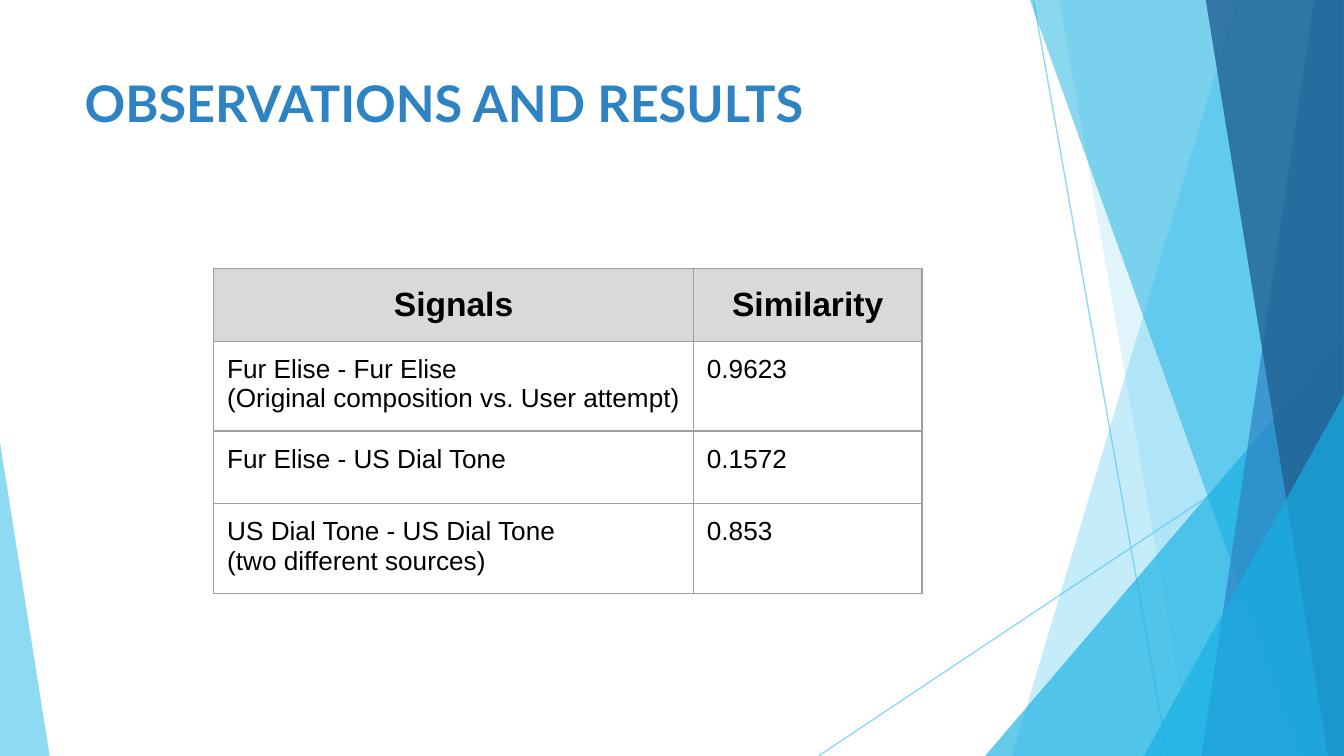
from pptx import Presentation, util as u
from pptx.dml.color import RGBColor
from pptx.enum import shapes, text
from pptx.oxml.ns import qn
from lxml import etree

W = 10
H = W * 9 / 16
SKY, CYAN, BLUE, NAVY = "5FCBEF", "16B0E3", "2E83C3", "226292"
TITLE = "OBSERVATIONS AND RESULTS"
ROWS = [
    ("Signals", "Similarity"),
    ("Fur Elise - Fur Elise\n(Original composition vs. User attempt)", "0.9623"),
    ("Fur Elise - US Dial Tone", "0.1572"),
    ("US Dial Tone - US Dial Tone\n(two different sources)", "0.853"),
]
COLS = (3.57, 1.7)
HIGH = 0.54

# Thin rays: start, end
RAYS = [((7.69, 0), (8.69, H)), ((W, 3.02), (6.09, H))]

# Facets from back to front: kind, geometry, colour, opacity in percent.
# band: top left, top right, bottom right, bottom left (x only)
# peak: left, top, width, place of the apex
FACETS = [
    ("band", (9.21, W, W, 7.53), SKY, 36),
    ("band", (7.88, W, W, 8.87), SKY, 20),
    ("peak", (7.33, 2.5, 2.67, 1), CYAN, 66),
    ("band", (7.66, 9.99, 9.99, 9.68), CYAN, 50),
    ("band", (9.78, W, W, 8.94), BLUE, 70),
    ("band", (8.97, W, W, 9.88), NAVY, 80),
    ("peak", (8.51, 2.94, 1.49, 1), CYAN, 66),
    ("peak", (0, 3.29, 0.37, 0), SKY, 70),
]


def rgb(code):
    return RGBColor.from_string(code)


def fade(shape, share):
    """Set the opacity of the shape's first colour, in percent."""
    tone = next(shape._element.spPr.iter(qn("a:srgbClr")))
    etree.SubElement(tone, qn("a:alpha")).set("val", str(share * 1000))


def ray(slide, start, end):
    line = slide.shapes.add_connector(
        shapes.MSO_CONNECTOR.STRAIGHT, *map(u.Inches, start + end))
    line.line.color.rgb = rgb(SKY)
    line.line.width = u.Pt(0.75)
    fade(line, 70)
    etree.SubElement(line._element.spPr, qn("a:effectLst"))


def band(slide, place):
    a, b, c, d = map(u.Inches, place)
    head, foot = u.Inches(-0.01), u.Inches(H)
    form = slide.shapes.build_freeform(a, head)
    form.add_line_segments([(b, head), (c, foot), (d, foot)], close=True)
    return form.convert_to_shape()


def peak(slide, place):
    left, top, width, apex = place
    shape = slide.shapes.add_shape(
        shapes.MSO_SHAPE.ISOSCELES_TRIANGLE,
        *map(u.Inches, (left, top, width, H - top)))
    shape.adjustments[0] = apex
    return shape


def facet(slide, kind, place, color, share):
    shape = (band if kind == "band" else peak)(slide, place)
    shape.shadow.inherit = False
    shape.fill.solid()
    shape.fill.fore_color.rgb = rgb(color)
    shape.line.fill.background()
    fade(shape, share)


def style(frame, font, size, color, bold):
    for para in frame.paragraphs:
        for run in para.runs:
            run.font.name, run.font.size = font, u.Pt(size)
            run.font.bold = bold
            run.font.color.rgb = rgb(color)


def title(slide):
    box = slide.shapes.add_textbox(*map(u.Inches, (0.56, 0.5, 7.05, 0.54)))
    frame = box.text_frame
    frame.word_wrap = True
    frame.margin_left = frame.margin_right = u.Inches(0.07)
    frame.margin_top = frame.margin_bottom = u.Inches(0.04)
    frame.text = TITLE
    style(frame, "Lato", 27, BLUE, True)


def border(cell):
    props = cell._tc.get_or_add_tcPr()
    for i, side in enumerate(("lnL", "lnR", "lnT", "lnB")):
        line = etree.Element(qn("a:" + side), w=str(u.Pt(0.75)))
        fill = etree.SubElement(line, qn("a:solidFill"))
        etree.SubElement(fill, qn("a:srgbClr"), val="9E9E9E")
        props.insert(i, line)


def fill_cell(cell, words, head):
    cell.text = words
    cell.margin_left = cell.margin_top = cell.margin_bottom = u.Inches(0.1)
    # A little slack keeps the longest line whole
    cell.margin_right = u.Inches(0.1 if head else 0.08)
    style(cell.text_frame, "Arial", 18 if head else 14, "000000", head)
    if head:
        cell.fill.solid()
        cell.fill.fore_color.rgb = rgb("D9D9D9")
        cell.vertical_anchor = text.MSO_ANCHOR.MIDDLE
        cell.text_frame.paragraphs[0].alignment = text.PP_ALIGN.CENTER
    else:
        cell.fill.background()
    border(cell)


def results(slide):
    size = (1.59, 2, sum(COLS), HIGH * len(ROWS))
    grid = slide.shapes.add_table(
        len(ROWS), len(COLS), *map(u.Inches, size)).table
    grid.horz_banding = False
    for col, width in zip(grid.columns, COLS):
        col.width = u.Inches(width)
    for r, row in enumerate(ROWS):
        grid.rows[r].height = u.Inches(HIGH)
        for c, words in enumerate(row):
            fill_cell(grid.cell(r, c), words, r == 0)


def main():
    deck = Presentation()
    deck.slide_width, deck.slide_height = u.Inches(W), u.Inches(H)
    slide = deck.slides.add_slide(deck.slide_layouts[6])
    for ends in RAYS:
        ray(slide, *ends)
    for part in FACETS:
        facet(slide, *part)
    title(slide)
    results(slide)
    deck.save("out.pptx")


if __name__ == "__main__":
    main()
